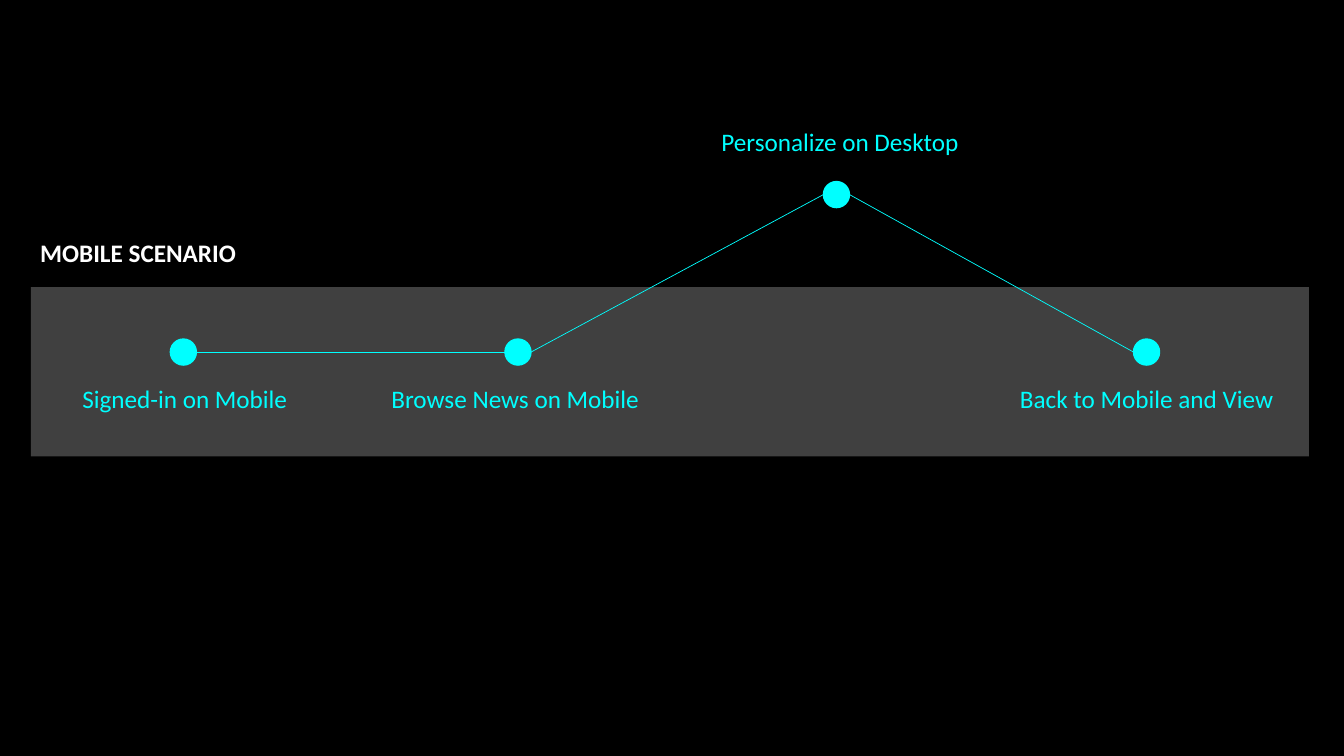
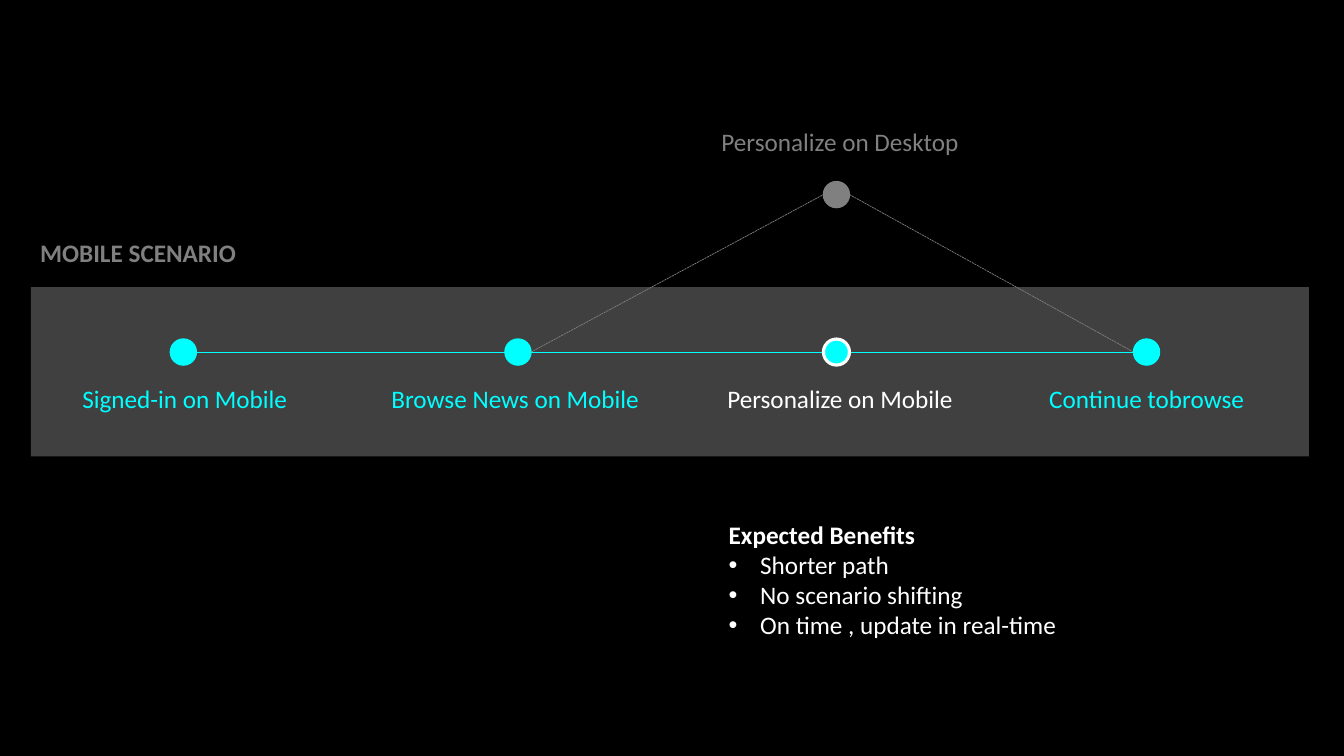
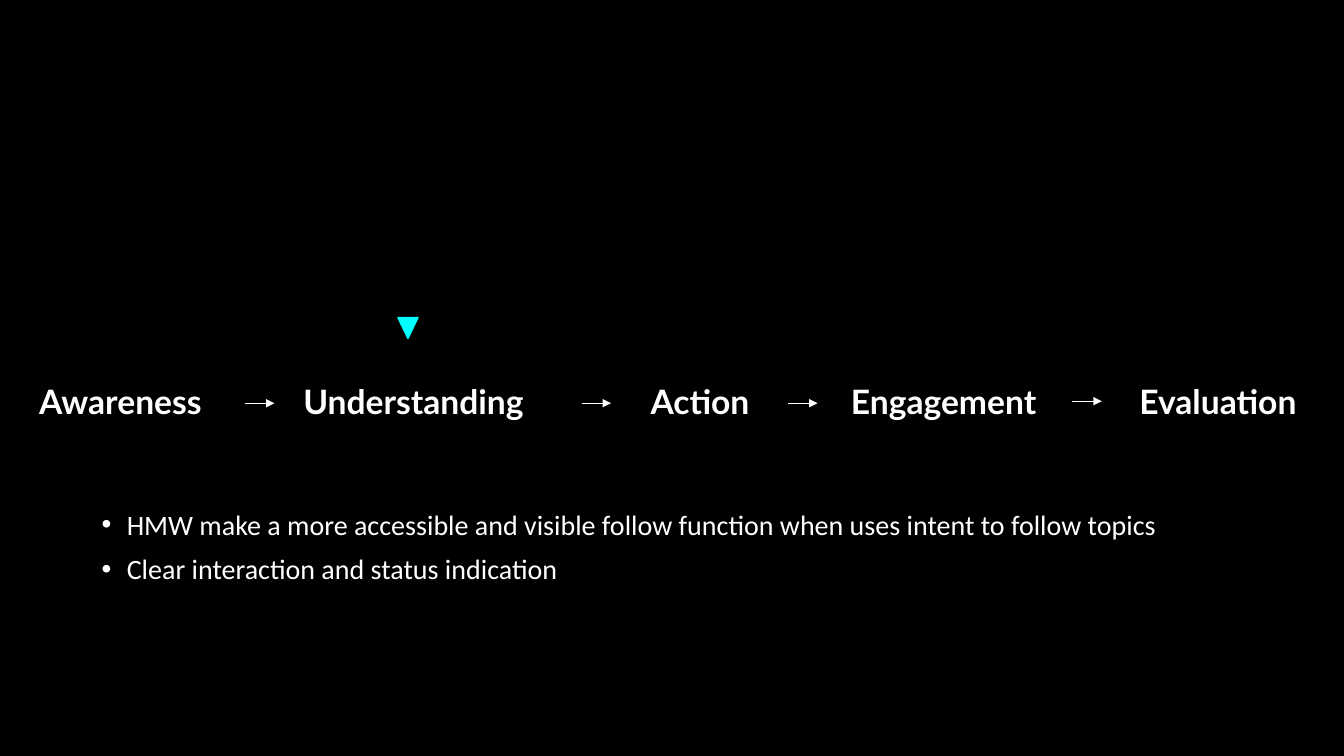
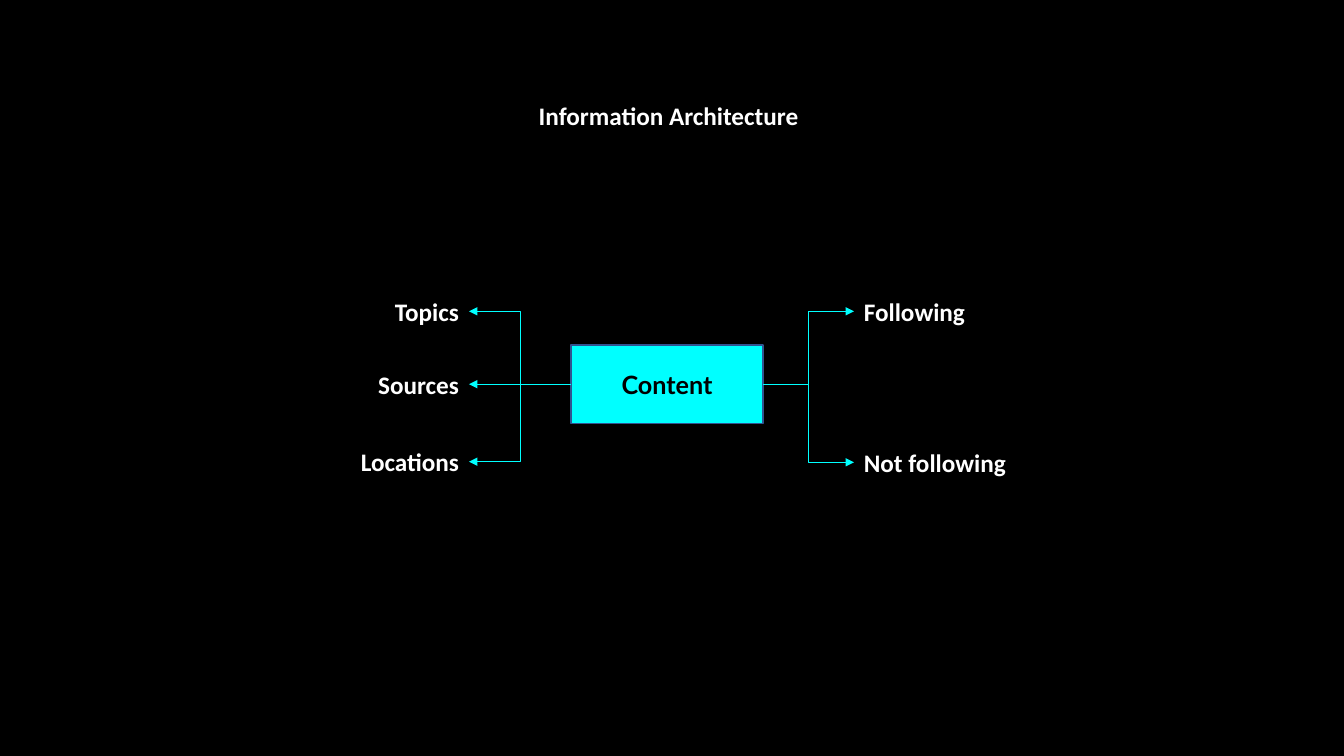
import pptx
import pptx.dml.color
import pptx.enum.dml
import pptx.enum.shapes
import pptx.enum.text
import pptx.oxml
import pptx.oxml.ns
import pptx.util

Pt = pptx.util.Pt
SHAPE = pptx.enum.shapes.MSO_SHAPE
CONNECTOR = pptx.enum.shapes.MSO_CONNECTOR
ALIGN = pptx.enum.text.PP_ALIGN
DASH = pptx.enum.dml.MSO_LINE.SQUARE_DOT

COLORS = {
    "background": "000000",
    "band": "404040",
    "accent": "00FFFF",
    "muted": "808080",
    "text": "FFFFFF",
    "border": "325491",
}

BODY = {"name": "Calibri", "size": Pt(18), "bold": False}
HEADING = {**BODY, "bold": True}
POINTS = {**BODY, "size": Pt(20)}
STAGE = {"name": "Lato", "size": Pt(24), "bold": True}
CORE = {**STAGE, "size": Pt(18)}

STEP_DOTS = (131, 370, 597.5, 819)
STEP_LABELS = (132, 368, 600, 819)
MOBILE_Y, DESKTOP_Y = 251.5, 139
DOT = 18.6
LABEL_HEIGHT = 28.8


def rgb(color):
    return pptx.dml.color.RGBColor.from_string(COLORS[color])


def set_format(target, values):
    for key, value in values.items():
        setattr(target, key, value)


def write(paragraph, text, font, color="text", **layout):
    run = paragraph.add_run()
    run.text = text
    set_format(run.font, font)
    run.font.color.rgb = rgb(color)
    set_format(paragraph, layout)


def add_bullet(paragraph, indent):
    properties = paragraph._p.get_or_add_pPr()
    properties.set("marL", str(Pt(indent)))
    properties.set("indent", str(-Pt(indent)))
    ns = pptx.oxml.ns.nsdecls("a")
    for xml in (f'<a:buFont {ns} typeface="Arial"/>', f'<a:buChar {ns} char="•"/>'):
        properties.append(pptx.oxml.parse_xml(xml))


def add_box(slide, left, top, width, height):
    box = slide.shapes.add_textbox(Pt(left), Pt(top), Pt(width), Pt(height))
    box.text_frame.word_wrap = True
    return box


def add_label(slide, text, left, top, width, font=BODY, color="text",
              align=ALIGN.LEFT, height=LABEL_HEIGHT):
    label = add_box(slide, left, top, width, height)
    label.text_frame.auto_size = pptx.enum.text.MSO_AUTO_SIZE.SHAPE_TO_FIT_TEXT
    write(label.text_frame.paragraphs[0], text, font, color, alignment=align)
    return label


def add_centered(slide, text, center, top, width=220, **style):
    return add_label(slide, text, center - width / 2, top, width,
                     align=ALIGN.CENTER, **style)


def add_figure(slide, kind, left, top, width, height, fill, line=None, weight=1):
    figure = slide.shapes.add_shape(kind, Pt(left), Pt(top), Pt(width), Pt(height))
    figure.shadow.inherit = False
    figure.fill.solid()
    figure.fill.fore_color.rgb = rgb(fill)
    if line:
        figure.line.color.rgb = rgb(line)
        figure.line.width = Pt(weight)
    else:
        figure.line.fill.background()
    return figure


def add_link(slide, start, end, color="accent", dash=None, arrow=False,
             kind=CONNECTOR.STRAIGHT):
    link = slide.shapes.add_connector(kind, *(Pt(value) for value in (*start, *end)))
    set_format(link.line, {"width": Pt(0.5), "dash_style": dash})
    link.line.color.rgb = rgb(color)
    ns = pptx.oxml.ns.nsdecls("a")
    if arrow:
        link.line._get_or_add_ln().append(
            pptx.oxml.parse_xml(f'<a:tailEnd {ns} type="triangle"/>'))
    link._element.spPr.append(pptx.oxml.parse_xml(f"<a:effectLst {ns}/>"))
    return link


def add_dot(slide, x, y, fill="accent", line=None, weight=1):
    add_figure(slide, SHAPE.OVAL, x - DOT / 2, y - DOT / 2, DOT, DOT,
               fill, line or fill, weight)


def link_dots(slide, start, end, **style):
    add_link(slide, (start[0] + DOT / 2, start[1]), (end[0] - DOT / 2, end[1]), **style)


def add_scenario(slide, last_step, heading, detour, dash=None):
    add_figure(slide, SHAPE.RECTANGLE, 22, 205, 913, 121, "band")
    add_label(slide, "MOBILE SCENARIO", 21.6, 166.3, 200, HEADING, heading)
    signed_in, browse, _, back = ((x, MOBILE_Y) for x in STEP_DOTS)
    desktop = (STEP_DOTS[2], DESKTOP_Y)
    link_dots(slide, signed_in, browse)
    link_dots(slide, browse, desktop, color=detour, dash=dash)
    link_dots(slide, desktop, back, color=detour, dash=dash)
    for dot in (signed_in, browse, back):
        add_dot(slide, *dot)
    add_dot(slide, *desktop, fill=detour)
    steps = ("Signed-in on Mobile", "Browse News on Mobile", None, last_step)
    for text, center in zip(steps, STEP_LABELS):
        if text:
            add_centered(slide, text, center, 270, color="accent")
    add_centered(slide, "Personalize on Desktop", STEP_LABELS[2], 87, color=detour)


def build_current_scenario(slide):
    add_scenario(slide, "Back to Mobile and View", "text", "accent")


def build_improved_scenario(slide):
    add_scenario(slide, "Continue tobrowse", "muted", "muted", DASH)
    browse, personalize, back = ((x, MOBILE_Y) for x in STEP_DOTS[1:])
    link_dots(slide, browse, personalize)
    link_dots(slide, personalize, back)
    add_dot(slide, *personalize, line="text", weight=2.25)
    add_centered(slide, "Personalize on Mobile", STEP_LABELS[2], 270)
    benefits = add_label(slide, "Expected Benefits", 513.4, 367.2, 264, HEADING, height=94)
    for text in ("Shorter path", "No scenario shifting", "On time , update in real-time"):
        paragraph = benefits.text_frame.add_paragraph()
        add_bullet(paragraph, 22.5)
        write(paragraph, text, BODY)


def build_journey(slide):
    stages = {"Awareness": 86, "Understanding": 295.4, "Action": 500,
              "Engagement": 674, "Evaluation": 870}
    for text, center in stages.items():
        add_centered(slide, text, center, 268.5, 180, font=STAGE, height=36)
    for x, y in ((175, 288), (415.5, 288), (563, 288), (766, 286.6)):
        add_link(slide, (x, y), (x + 21, y), "text", arrow=True)
    marker = add_figure(slide, SHAPE.ISOSCELES_TRIANGLE, 284.2, 226.8, 14.4, 15,
                        "accent", "accent")
    marker.rotation = 180
    questions = add_box(slide, 65.5, 361.4, 828, 118).text_frame
    points = ("HMW make a more accessible and visible follow function "
              "when uses intent to follow topics",
              "Clear interaction and status indication")
    for index, text in enumerate(points):
        paragraph = questions.add_paragraph() if index else questions.paragraphs[0]
        add_bullet(paragraph, 18)
        write(paragraph, text, POINTS, line_spacing=0.9,
              space_before=Pt(10 if index else 0))


def add_branch(slide, core, text, top, left, width, align, core_side, label_side):
    label = add_label(slide, text, left, top, width, HEADING, align=align)
    level = top + LABEL_HEIGHT / 2 == (core.top + core.height / 2) / Pt(1)
    link = add_link(slide, (0, 0), (1, 1), arrow=True,
                    kind=CONNECTOR.STRAIGHT if level else CONNECTOR.ELBOW)
    link.begin_connect(core, core_side)
    link.end_connect(label, label_side)


def build_architecture(slide):
    add_centered(slide, "Information Architecture", 477.6, 68.4, 260, font=HEADING)
    core = add_figure(slide, SHAPE.RECTANGLE, 408, 246.4, 137, 56, "accent", "border")
    core.text_frame.vertical_anchor = pptx.enum.text.MSO_ANCHOR.MIDDLE
    write(core.text_frame.paragraphs[0], "Content", CORE, "background",
          alignment=ALIGN.CENTER)
    for text, top in (("Topics", 208), ("Sources", 260), ("Locations", 315.4)):
        add_branch(slide, core, text, top, 152, 183, ALIGN.RIGHT, 1, 3)
    for text, top in (("Following", 208), ("Not following", 315.8)):
        add_branch(slide, core, text, top, 610, 260, ALIGN.LEFT, 3, 1)


def main():
    deck = pptx.Presentation()
    deck.slide_width, deck.slide_height = Pt(960), Pt(540)
    backdrop = deck.slide_master.background.fill
    backdrop.solid()
    backdrop.fore_color.rgb = rgb("background")
    for build in (build_current_scenario, build_improved_scenario,
                  build_journey, build_architecture):
        build(deck.slides.add_slide(deck.slide_layouts[6]))
    deck.save("out.pptx")


if __name__ == "__main__":
    main()
